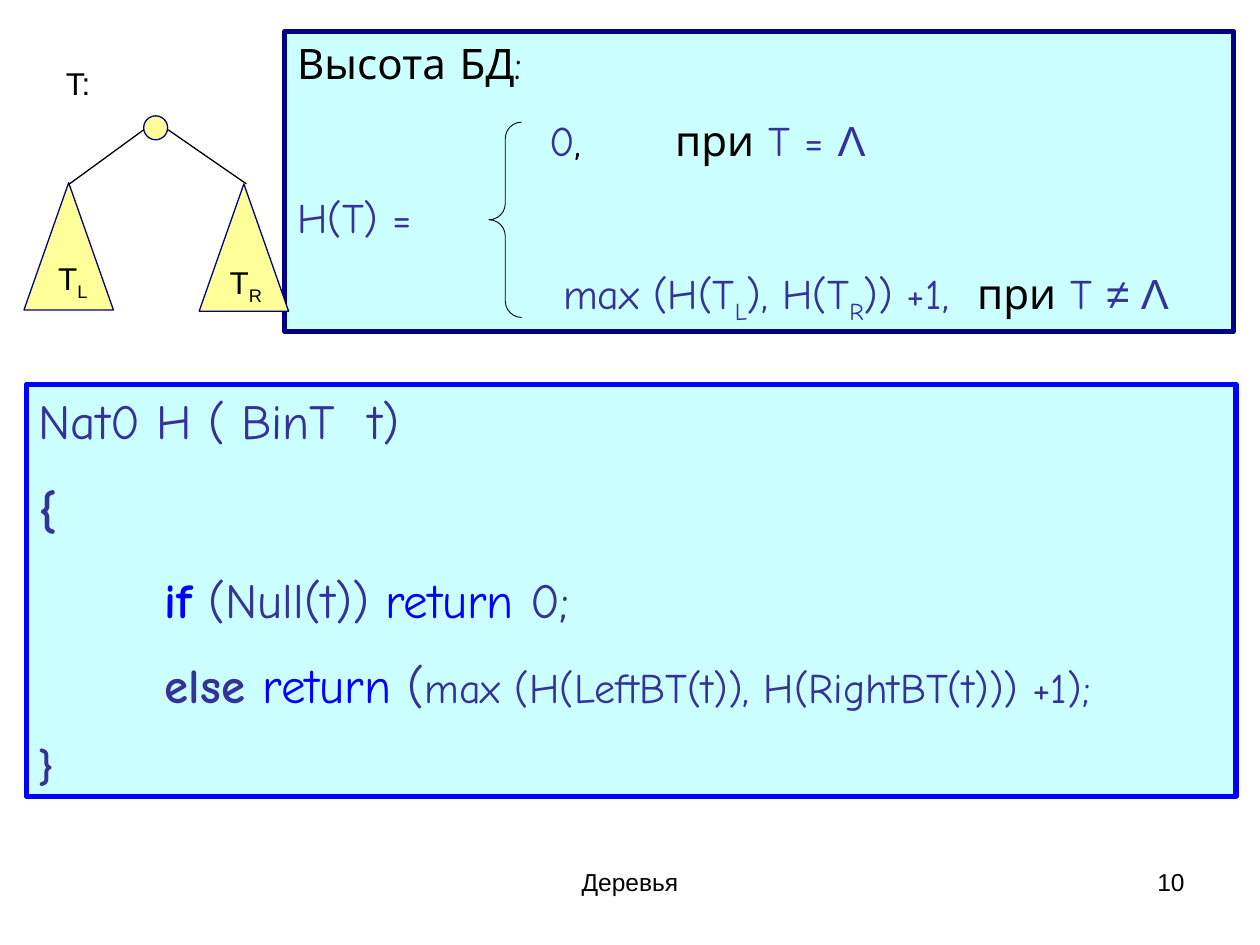
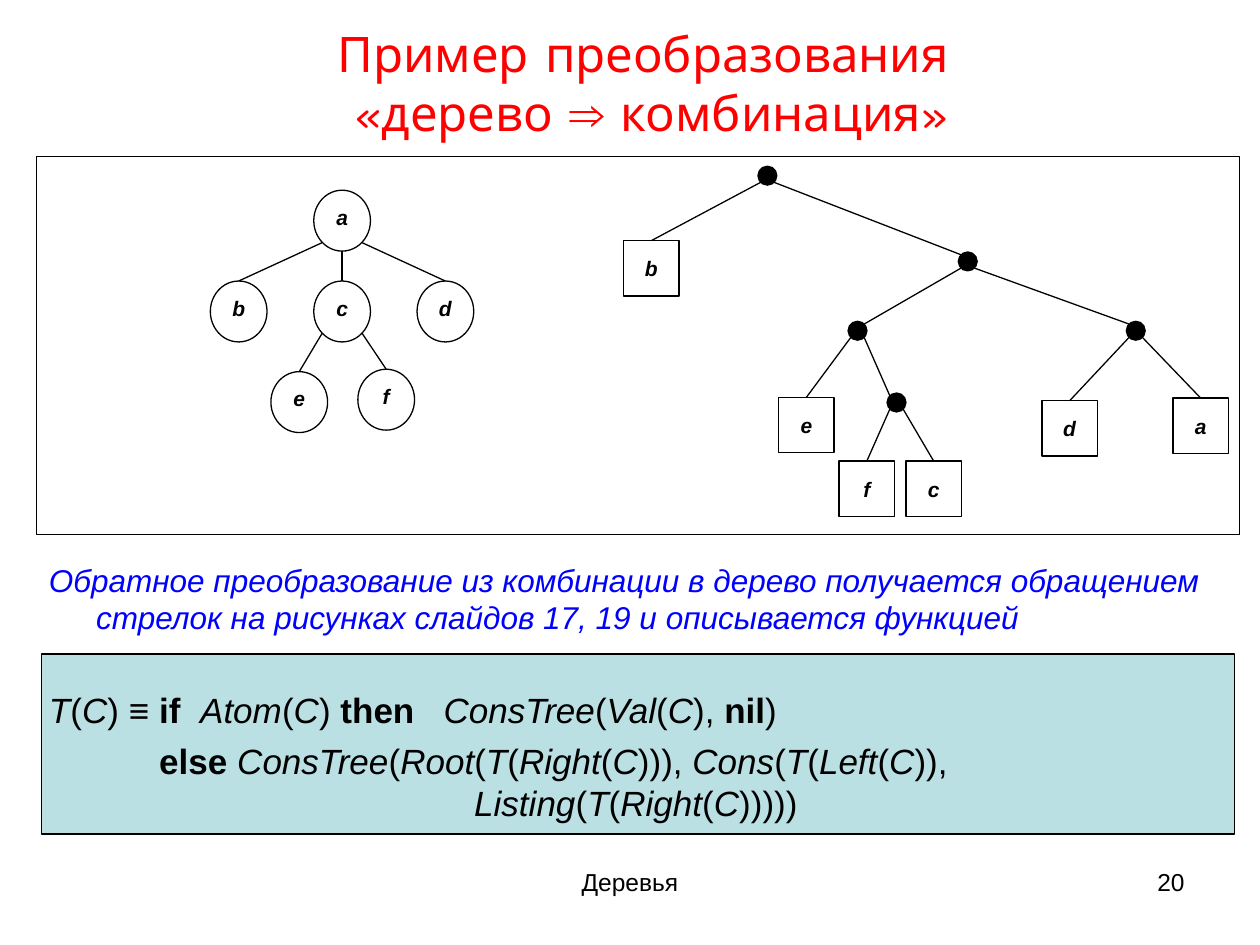
"""Builds two slides on binary trees: the height function and the tree conversion."""
from itertools import groupby

from lxml.etree import SubElement
from pptx import Presentation
from pptx.dml.color import RGBColor
from pptx.enum.shapes import MSO_CONNECTOR as Link, MSO_SHAPE as Form
from pptx.enum.text import MSO_ANCHOR as Anchor, PP_ALIGN as Align
from pptx.oxml.ns import qn
from pptx.util import Pt

BLACK = RGBColor(0x00, 0x00, 0x00)
WHITE = RGBColor(0xFF, 0xFF, 0xFF)
RED = RGBColor(0xFF, 0x00, 0x00)
BLUE = RGBColor(0x00, 0x00, 0xFF)
NAVY = RGBColor(0x00, 0x00, 0x80)
INDIGO = RGBColor(0x33, 0x33, 0x99)
CYAN = RGBColor(0xCC, 0xFF, 0xFF)
TEAL = RGBColor(0xBB, 0xE0, 0xE3)
YELLOW = RGBColor(0xFF, 0xFF, 0x99)

ARIAL, COMIC = "Arial", "Comic Neue"
TITLE_ONLY, BLANK = 5, 6
KEYWORDS = {"if", "then", "else", "nil"}
THIN_INSETS = (1.4, 0.7, 1.4, 0.7)
BOX_INSETS = (7.2, 3.6, 7.2, 3.6)

DARK = {"color": BLACK}
KEY = {"color": BLUE}
BOLD = {"bold": True}
SUB = {"sub": True}
PLAIN_FONT = {"name": ARIAL}


class SlideMaker:
    """Holds the style and the current slide, and draws each kind of element."""

    footer = "Деревья"
    footer_style = {"size": Pt(14), "name": ARIAL, "color": BLACK}
    title_style = {"size": Pt(28), "name": COMIC, "color": RED}
    tab_step = 72

    def __init__(self):
        self.deck = Presentation()
        self.deck.slide_width, self.deck.slide_height = Pt(720), Pt(540)
        self.slide = None

    def new_slide(self, layout, number):
        """Starts a slide with its footer and number."""
        self.slide = self.deck.slides.add_slide(self.deck.slide_layouts[layout])
        for place, words, align in (
            ((246, 492, 228, 37.5), self.footer, Align.CENTER),
            ((516, 492, 168, 37.5), str(number), Align.RIGHT),
        ):
            self.text(place, [([(words, {})], {"alignment": align})], self.footer_style)

    def fill_text(self, frame, paragraphs, style, insets=BOX_INSETS, anchor=Anchor.TOP):
        """Fills a text frame with (runs, paragraph format) pairs."""
        frame.word_wrap = True
        frame.vertical_anchor = anchor
        for side, inset in zip(("left", "top", "right", "bottom"), insets):
            setattr(frame, f"margin_{side}", Pt(inset))
        for index, (runs, layout) in enumerate(paragraphs):
            para = frame.paragraphs[0] if index == 0 else frame.add_paragraph()
            self.format_paragraph(para, {"alignment": Align.LEFT, **layout})
            if any("\t" in words for words, _ in runs):
                self.add_tabs(para)
            for words, changes in runs:
                if words == "\n":
                    para.add_line_break()
                else:
                    self.format_run(para.add_run(), words, {**style, **changes})

    def format_paragraph(self, para, layout):
        """Sets alignment, spacing and indents."""
        for name, value in layout.items():
            if name in ("marL", "indent"):
                para._p.get_or_add_pPr().set(name, str(Pt(value)))
            else:
                setattr(para, name, value)

    def add_tabs(self, para):
        """Gives a paragraph evenly spaced left tab stops."""
        stops = SubElement(para._p.get_or_add_pPr(), qn("a:tabLst"))
        for step in range(8):
            SubElement(stops, qn("a:tab"), pos=str(Pt(step * self.tab_step)), algn="l")

    def format_run(self, span, words, style):
        """Sets the words and font of one run."""
        span.text = words
        for name, value in style.items():
            if name == "color":
                span.font.color.rgb = value
            elif name == "sub":
                span._r.get_or_add_rPr().set("baseline", "-25000")
            else:
                setattr(span.font, name, value)

    def title(self, place, runs):
        """Moves and fills the title placeholder."""
        box = self.slide.shapes.title
        for name, value in zip(("left", "top", "width", "height"), place):
            setattr(box, name, Pt(value))
        self.fill_text(box.text_frame, [(runs, {"alignment": Align.CENTER})],
                       self.title_style, anchor=Anchor.MIDDLE)

    def text(self, place, paragraphs, style, insets=BOX_INSETS):
        """Adds a text box."""
        box = self.slide.shapes.add_textbox(*map(Pt, place))
        self.fill_text(box.text_frame, paragraphs, style, insets)

    def shape(self, form, place, fill=None, line=BLACK, width=0.75):
        """Adds a preset shape with a flat fill and outline."""
        box = self.slide.shapes.add_shape(form, *map(Pt, place))
        box.shadow.inherit = False
        if fill is None:
            box.fill.background()
        else:
            box.fill.solid()
            box.fill.fore_color.rgb = fill
        box.line.color.rgb = line
        box.line.width = Pt(width)
        return box

    def node(self, form, place, letter, lift=0):
        """Adds a tree node with its letter, raised by lift."""
        box = self.shape(form, place, WHITE)
        style = {"size": Pt(12), "name": ARIAL, "color": BLACK, "bold": True, "italic": True}
        self.fill_text(box.text_frame, [([(letter, {})], {"alignment": Align.CENTER})],
                       style, (0, 0, 0, lift), Anchor.MIDDLE)
        return box

    def edge(self, start, end, leaf=None):
        """Adds a straight line, joined to the top of a leaf if one is given."""
        line = self.slide.shapes.add_connector(Link.STRAIGHT, *map(Pt, (*start, *end)))
        line.line.color.rgb = BLACK
        line.line.width = Pt(0.75)
        SubElement(line._element.spPr, qn("a:effectLst"))
        if leaf is not None:
            line.end_connect(leaf, 0)


def side_of(parent_x, child_x):
    """Returns -1, 0 or 1 for a child to the left, below or to the right."""
    return (child_x > parent_x) - (child_x < parent_x)


def formula(words):
    """Splits a formula into italic names, bold keywords and upright signs."""
    runs = []
    for is_name, letters in groupby(words, str.isalpha):
        part = "".join(letters)
        runs.append((part, {"bold": part in KEYWORDS,
                            "italic": is_name and part not in KEYWORDS}))
    return runs


def height_slide(maker):
    """Draws the definition of tree height and its code."""
    maker.new_slide(BLANK, 10)
    wide, medium = {"space_before": Pt(17.5)}, {"space_before": Pt(15)}

    definition = maker.shape(Form.RECTANGLE, (162.7, 18, 542.2, 171.4), CYAN, NAVY, 3)
    maker.fill_text(definition.text_frame, [
        ([("Высота БД:", DARK)], medium),
        ([("\t\t0", {}), (", \tпри ", DARK), ("T = ", {}), ("Λ", PLAIN_FONT)], medium),
        ([("H(T) =", {})], medium),
        ([("\t\t max (H(T", {}), ("L", SUB), ("), H(T", {}), ("R", SUB), (")) +1,", {}),
          ("  при ", DARK), ("T ", {}), ("≠ Λ", PLAIN_FONT)], medium),
    ], {"size": Pt(24), "name": COMIC, "color": INDIGO})

    for left, top in ((13.7, 104.4), (113.8, 105.1)):
        maker.shape(Form.ISOSCELES_TRIANGLE, (left, top, 51.1, 72.7), YELLOW, NAVY)
    maker.shape(Form.OVAL, (82.1, 66.2, 13.7, 13.7), YELLOW, NAVY)
    maker.edge((82.1, 74.2), (39.2, 105.5))
    maker.edge((96.1, 74.2), (140.8, 105.1))
    for place, runs in (
        ((33.1, 36, 23, 23), [("T:", {})]),
        ((30.2, 147.6, 23, 26), [("T", {}), ("L", SUB)]),
        ((124.6, 149.8, 31.7, 26), [("T", {}), ("R", SUB)]),
    ):
        maker.text(place, [(runs, {"alignment": Align.CENTER})],
                   {"size": Pt(18), "name": ARIAL, "color": BLACK}, THIN_INSETS)

    brace = maker.shape(Form.LEFT_BRACE, (279.4, 69.8, 18.7, 111.6), width=0.5)
    brace.adjustments[0] = 0.5

    code = maker.shape(Form.RECTANGLE, (15.1, 219.6, 691.2, 235.4), CYAN, BLUE, 3)
    maker.fill_text(code.text_frame, [
        ([("Nat0 H ( BinT  t)", {})], wide),
        ([("{", BOLD)], wide),
        ([("\t", BOLD), ("if", {**KEY, **BOLD}), (" (Null(t)) ", {}),
          ("return", KEY), (" 0;", {})], wide),
        ([("\telse ", BOLD), ("return", KEY), (" (", {}),
          ("max (H(LeftBT(t)), H(RightBT(t))) +1);", {"size": Pt(24)})], medium),
        ([("}", {"size": Pt(24), **BOLD})], medium),
    ], {"size": Pt(28), "name": COMIC, "color": INDIGO})


def general_tree(maker):
    """Draws the source tree with round nodes."""
    width, height = 32.4, 34.8
    spots = {"a": (179.3, 108.7), "b": (120.2, 160.6), "c": (179.3, 160.6),
             "d": (238.3, 160.6), "e": (154.8, 212.4), "f": (204.5, 211)}
    for letter, spot in spots.items():
        maker.node(Form.OVAL, (*spot, width, height), letter, 4)
    for parent, child in ("ab", "ac", "ad", "ce", "cf"):
        (left, top), (child_left, child_top) = spots[parent], spots[child]
        side = side_of(left, child_left)
        drop = 30 if side else height
        maker.edge((left + width / 2 + side * 11.5, top + drop),
                   (child_left + width / 2, child_top))


def combination_tree(maker):
    """Draws the resulting binary tree with dots and square leaves."""
    dot, square, reach = 10.8, 31.7, 3.8
    dots = {"root": (438.5, 100.4), "right": (553, 149.4), "middle": (490, 189),
            "last": (649, 189), "low": (512.3, 230)}
    leaves = {"a": (670.3, 227.5), "b": (356.4, 137.5), "c": (517.7, 263.5),
              "d": (595.4, 229), "e": (445, 227), "f": (479.5, 263.5)}
    children = {"root": ("b", "right"), "right": ("middle", "last"),
                "middle": ("e", "low"), "low": ("f", "c"), "last": ("d", "a")}
    boxes = {letter: maker.node(Form.RECTANGLE, (*spot, square, square), letter)
             for letter, spot in leaves.items()}
    for x, y in dots.values():
        maker.shape(Form.OVAL, (x - dot / 2, y - dot / 2, dot, dot), BLACK)
    for parent, pair in children.items():
        x, y = dots[parent]
        for side, child in zip((-1, 1), pair):
            start = (x + side * reach, y + reach)
            if child in leaves:
                left, top = leaves[child]
                maker.edge(start, (left + square / 2, top), boxes[child])
            else:
                child_x, child_y = dots[child]
                maker.edge(start, (child_x - side * reach, child_y - reach))


def conversion_slide(maker):
    """Draws the example of turning a tree into a combination."""
    maker.new_slide(TITLE_ONLY, 20)
    maker.title((48.2, 10.8, 648, 72.7), [
        ("Пример преобразования ", {}), ("\n", {}), ("«дерево ", {}),
        ("⇒", PLAIN_FONT), (" комбинация»", {})])
    maker.shape(Form.RECTANGLE, (23.8, 373.7, 681.8, 103), TEAL)
    hanging = {"marL": 27, "indent": -27}
    maker.text((20.9, 316.8, 699, 172), [
        ([("Обратное преобразование из комбинации в дерево получается обращением "
           "стрелок на рисунках слайдов 17, 19 и описывается функцией",
           {"size": Pt(18), "color": BLUE, "italic": True})],
         {**hanging, "space_before": Pt(4.5)}),
        (formula("T(C) ≡ \tif  Atom(C) then   ConsTree(Val(C), nil)"),
         {**hanging, "space_before": Pt(30)}),
        (formula("\t\telse ConsTree(Root(T(Right(C))), Cons(T(Left(C)),"),
         {**hanging, "space_before": Pt(5)}),
        (formula("Listing(T(Right(C)))))"), {"marL": 243, "indent": 0}),
    ], {"size": Pt(20), "name": ARIAL, "color": BLACK})
    maker.shape(Form.RECTANGLE, (20.9, 89.3, 687.6, 216))
    general_tree(maker)
    combination_tree(maker)


def main():
    """Builds and saves the deck."""
    maker = SlideMaker()
    height_slide(maker)
    conversion_slide(maker)
    maker.deck.save("out.pptx")


if __name__ == "__main__":
    main()
